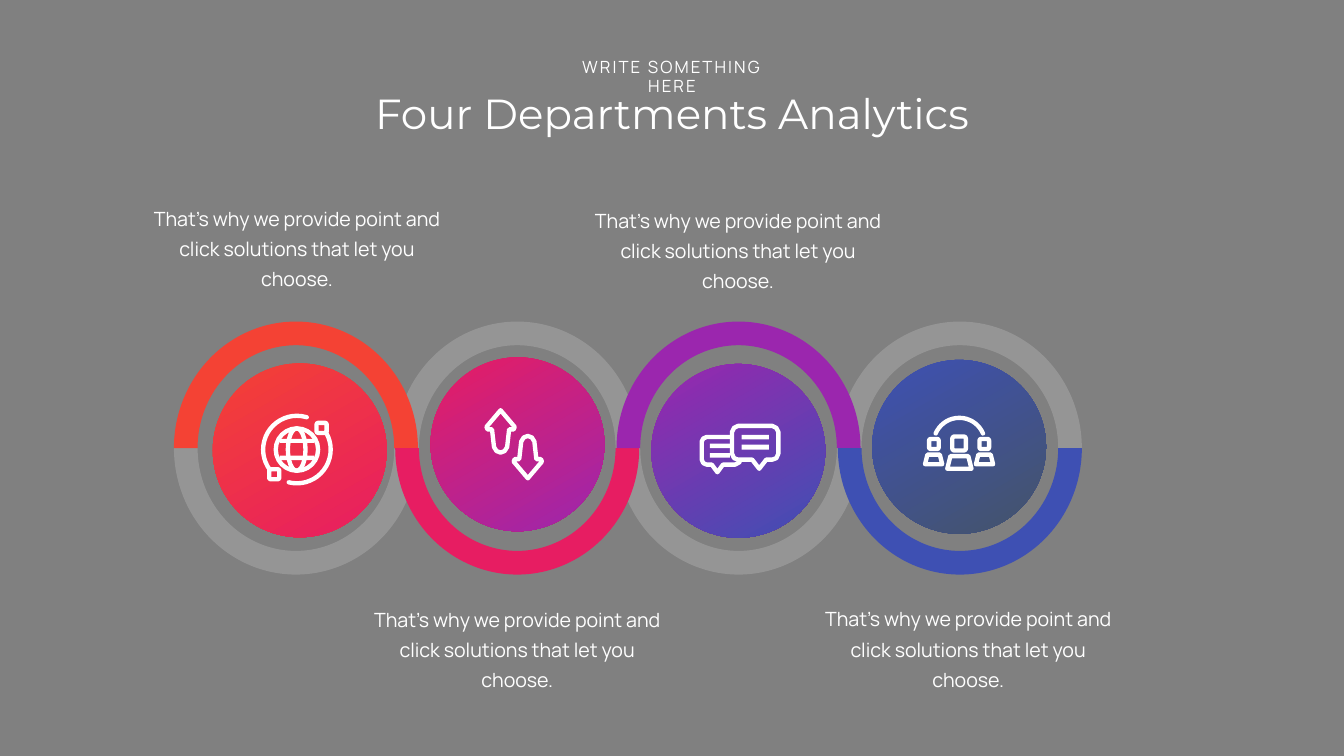
from lxml.etree import SubElement
from pptx import Presentation
from pptx.dml.color import RGBColor
from pptx.enum.shapes import MSO_SHAPE as Kind
from pptx.enum.text import MSO_ANCHOR as Anchor, MSO_AUTO_SIZE as Auto, PP_ALIGN as Align
from pptx.oxml.ns import qn
from pptx.util import Inches, Pt

THEME = {
    "back": "363D48", "panel": "808080", "white": "FFFFFF",
    "red": "F44234", "pink": "E71D62", "plum": "9B26AE",
    "blue": "3E50B3", "slate": "445469",
    "head": "Montserrat", "body": "Manrope",
    "title": 60, "kicker": 24, "text": 28, "lead": 43, "stroke": 6.2,
}

WIDE, HIGH = 26.66, 15
TITLE = "Four Departments Analytics"
KICKER = "WRITE SOMETHING HERE"
NOTE = "That’s why we provide point and click solutions that let you choose."

STEPS = [
    {"from": "red", "to": "pink", "disc": (4.22, 7.21), "note": (2.79, 3.93, 6.2)},
    {"from": "pink", "to": "plum", "disc": (8.54, 7.09), "note": (7.08, 11.88, 6.36)},
    {"from": "plum", "to": "blue", "disc": (12.92, 7.22), "note": (11.54, 3.97, 6.2)},
    {"from": "blue", "to": "slate", "disc": (17.3, 7.14), "note": (16.08, 11.87, 6.25)},
]
DISC = 3.45
RING = {"left": 3.45, "top": 6.38, "wide": 4.84, "high": 5.02, "step": 4.39, "band": 0.097}

OVALS = [(5.47, 8.5, 0.84, 0.84), (5.71, 8.5, 0.35, 0.84)]
ARCS = [
    (5.89, 8.92, 0.67, 329, 104),
    (5.89, 8.92, 0.67, 145, 287),
    (19.03, 8.8, 0.51, 203, 337),
]
BOXES = [
    (6.28, 8.39, 0.2, 0.2), (5.34, 9.31, 0.2, 0.2),
    (18.89, 8.66, 0.27, 0.28), (18.43, 8.71, 0.19, 0.2), (19.43, 8.71, 0.19, 0.2),
]
BODIES = [(18.79, 9.05, 0.48, 0.25), (18.35, 9.02, 0.34, 0.19), (19.36, 9.02, 0.34, 0.19)]
BARS = [
    (5.55, 8.71, 0.68, 0.08), (5.55, 9.04, 0.68, 0.09),
    (14.08, 8.8, 0.4, 0.09), (14.08, 8.99, 0.4, 0.09),
    (14.71, 8.63, 0.54, 0.09), (14.71, 8.82, 0.54, 0.1),
]

ARROW = [
    (0, -0.42), (0.28, -0.09), (0.26, -0.04), (0.17, -0.04), (0.13, 0.31), (0.08, 0.39),
    (0, 0.42), (-0.08, 0.39), (-0.13, 0.31), (-0.17, -0.04), (-0.26, -0.04), (-0.28, -0.09),
]
ARROWS = [(9.93, 8.56, 1), (10.47, 9.07, -1)]
FRONT = [
    (14.64, 8.45), (15.32, 8.45), (15.4, 8.49), (15.44, 8.57), (15.44, 9), (15.4, 9.09),
    (15.32, 9.12), (15.2, 9.12), (15.06, 9.3), (14.92, 9.12), (14.64, 9.12),
    (14.56, 9.09), (14.52, 9), (14.52, 8.57), (14.56, 8.49),
]
REAR = [
    (14.48, 8.67), (14.02, 8.67), (13.95, 8.7), (13.92, 8.76), (13.92, 9.12),
    (13.95, 9.19), (14.02, 9.22), (14.12, 9.22), (14.23, 9.37), (14.34, 9.22),
    (14.58, 9.22), (14.67, 9.17),
]


def tint(key):
    return RGBColor.from_string(THEME[key])


def add(slide, kind, area, fill=None):
    shape = slide.shapes.add_shape(kind, *map(Inches, area))
    shape.shadow.inherit = False
    shape.line.fill.background()
    if fill:
        shape.fill.solid()
        shape.fill.fore_color.rgb = tint(fill)
    return shape


def trace(shape):
    shape.shadow.inherit = False
    shape.fill.background()
    shape.line.color.rgb = tint("white")
    shape.line.width = Pt(THEME["stroke"])
    line = shape.get_or_add_ln()
    line.set("cap", "rnd")
    SubElement(line, qn("a:round"))


def draw(slide, dots, close=True):
    dots = [(Inches(x), Inches(y)) for x, y in dots]
    path = slide.shapes.build_freeform(*dots[0], scale=1.0)
    path.add_line_segments(dots[1:], close=close)
    trace(path.convert_to_shape())


def write(shape, area, text, size, font, lead=None, gap=None):
    shape.left, shape.top, shape.width, shape.height = map(Inches, area)
    frame = shape.text_frame
    frame.word_wrap = True
    frame.auto_size = Auto.SHAPE_TO_FIT_TEXT
    frame.vertical_anchor = Anchor.TOP
    frame.margin_left = frame.margin_right = Inches(0.1)
    frame.margin_top = frame.margin_bottom = Inches(0.05)
    para = frame.paragraphs[0]
    para.alignment = Align.CENTER
    para.line_spacing = lead
    run = para.add_run()
    run.text = text
    run.font.size = Pt(THEME[size])
    run.font.name = THEME[font]
    run.font.color.rgb = tint("white")
    if gap:
        run.font._element.set("spc", str(gap * 100))


def ring(slide, rank, fill, turn):
    left = RING["left"] + rank * RING["step"]
    area = (left, RING["top"], RING["wide"], RING["high"])
    arc = add(slide, Kind.BLOCK_ARC, area, fill)
    arc.adjustments[2] = RING["band"]
    arc.rotation = turn
    return arc


def icons(slide):
    for area in OVALS:
        trace(add(slide, Kind.OVAL, area))
    for x, y, r, start, end in ARCS:
        arc = add(slide, Kind.ARC, (x - r, y - r, 2 * r, 2 * r))
        arc.adjustments[0] = start * 0.6
        arc.adjustments[1] = end * 0.6
        trace(arc)
    for area in BOXES:
        trace(add(slide, Kind.ROUNDED_RECTANGLE, area))
    for area in BODIES:
        trace(add(slide, Kind.TRAPEZOID, area))
    for x, y, sign in ARROWS:
        draw(slide, [(x + sign * dx, y + sign * dy) for dx, dy in ARROW])
    draw(slide, REAR, close=False)
    draw(slide, FRONT)
    for area in BARS:
        add(slide, Kind.RECTANGLE, area, "white")


def main():
    deck = Presentation()
    deck.slide_width, deck.slide_height = Inches(WIDE), Inches(HIGH)
    slide = deck.slides.add_slide(deck.slide_layouts[5])
    slide.background.fill.solid()
    slide.background.fill.fore_color.rgb = tint("back")

    panel = add(slide, Kind.RECTANGLE, (0, 0, WIDE, HIGH), "panel")
    title = slide.shapes.title
    title.element.addprevious(panel.element)
    write(title, (5.3, 1.68, 16.06, 1.11), TITLE, "title", "head")
    area = (10.98, 1.13, 4.7, 0.5)
    box = slide.shapes.add_textbox(*map(Inches, area))
    write(box, area, KICKER, "kicker", "body", 0.9, 3)

    for step in STEPS:
        disc = add(slide, Kind.OVAL, (*step["disc"], DISC, DISC))
        disc.fill.gradient()
        disc.fill.gradient_angle = 300
        for stop, key in zip(disc.fill.gradient_stops, ("from", "to")):
            stop.color.rgb = tint(step[key])
        left, top, wide = step["note"]
        area = (left, top, wide, 1.88)
        box = slide.shapes.add_textbox(*map(Inches, area))
        write(box, area, NOTE, "text", "body", Pt(THEME["lead"]))
    icons(slide)

    for rank in range(len(STEPS)):
        arc = ring(slide, rank, "white", 0 if rank % 2 else 180)
        tone = arc.element.spPr.find(qn("a:solidFill"))[0]
        SubElement(tone, qn("a:alpha")).set("val", "17000")
    for rank, step in enumerate(STEPS):
        ring(slide, rank, step["from"], 180 if rank % 2 else 0)

    deck.save("out.pptx")


if __name__ == "__main__":
    main()
